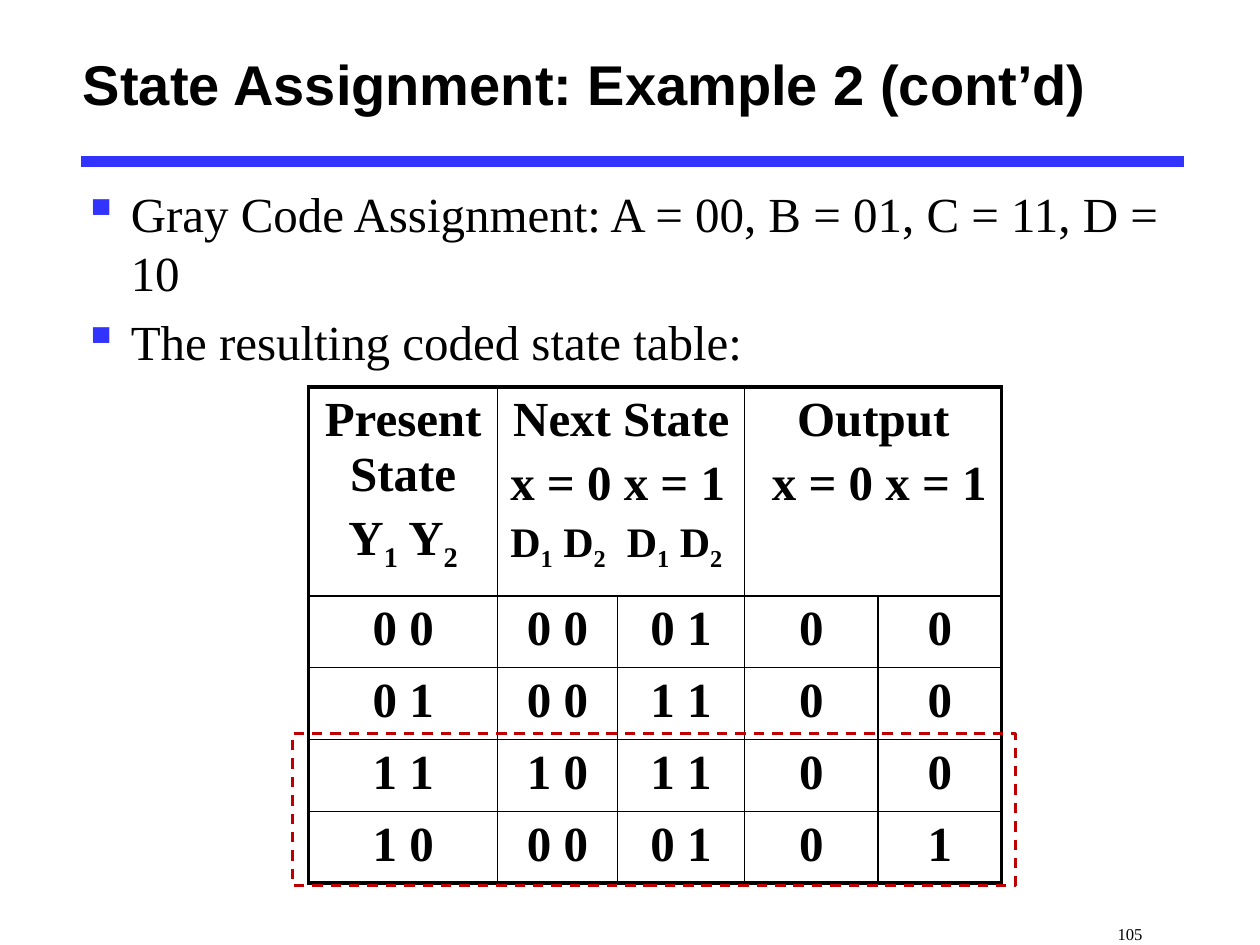
from pptx import Presentation
from pptx.dml.color import RGBColor
from pptx.enum.dml import MSO_LINE
from pptx.enum.shapes import MSO_CONNECTOR, MSO_SHAPE
from pptx.enum.text import MSO_ANCHOR, PP_ALIGN
from pptx.oxml.ns import qn
from pptx.util import Inches, Pt
from lxml import etree

LEFT, CENTER = PP_ALIGN.LEFT, PP_ALIGN.CENTER
TOP, MIDDLE, BOTTOM = MSO_ANCHOR.TOP, MSO_ANCHOR.MIDDLE, MSO_ANCHOR.BOTTOM
SERIF, SANS = "Times New Roman", "Arial"
BLACK, BLUE, RED = "000000", "3333FF", "C00000"
THIN, THICK = 1, 2.25

# Content: an underscore makes the next character a subscript
TITLE = "State Assignment: Example 2 (cont’d)"
BULLETS = [
    "Gray Code Assignment: A = 00, B = 01, C = 11, D = 10",
    "The resulting coded state table:",
]
PAGE = "105"
# Header cells: first column, columns spanned, (text, size, alignment) lines
HEADERS = [
    (0, 1, [("Present State", 28, CENTER), ("Y_1 Y_2", 28, CENTER)]),
    (1, 2, [("Next State", 28, CENTER), ("x = 0 x = 1", 28, LEFT),
            ("D_1 D_2  D_1 D_2", 24, LEFT)]),
    (3, 2, [("Output", 28, CENTER), (" x = 0 x = 1", 28, CENTER)]),
]
STATES = [
    ("0 0", "0 0", "0 1", "0", "0"),
    ("0 1", "0 0", "1 1", "0", "0"),
    ("1 1", "1 0", "1 1", "0", "0"),
    ("1 0", "0 0", "0 1", "0", "1"),
]
COLS = [1.5, 0.95, 1.01, 1.06, 0.98]
HEAD_H, ROW_H = 1.66, 0.57
TABLE_X, TABLE_Y = 2.45, 3.07


def rgb(value):
    return RGBColor.from_string(value)


def add_text(tf, text, size=28, font=SERIF, bold=False, align=LEFT, first=True, bullet=None):
    p = tf.paragraphs[0] if first else tf.add_paragraph()
    p.alignment = align
    if not first:
        p.space_before = Pt(size * 0.2)
    if bullet:
        pPr = p._p.get_or_add_pPr()
        pPr.set("marL", str(Inches(0.38)))
        pPr.set("indent", str(-Inches(0.38)))
        color = etree.SubElement(pPr, qn("a:buClr"))
        etree.SubElement(color, qn("a:srgbClr")).set("val", BLUE)
        etree.SubElement(pPr, qn("a:buChar")).set("char", bullet)
    head, *rest = text.split("_")
    pieces = [(head, False)]
    for part in rest:
        pieces += [(part[0], True), (part[1:], False)]
    for piece, subscript in pieces:
        if not piece:
            continue
        r = p.add_run()
        r.text = piece
        r.font.size, r.font.name, r.font.bold = Pt(size), font, bold
        r.font.color.rgb = rgb(BLACK)
        if subscript:
            r._r.get_or_add_rPr().set("baseline", "-25000")


def add_box(s, x, y, w, h, anchor=TOP, left=0.1, bottom=0.05):
    tf = s.shapes.add_textbox(Inches(x), Inches(y), Inches(w), Inches(h)).text_frame
    tf.word_wrap = True
    tf.vertical_anchor = anchor
    tf.margin_left, tf.margin_bottom = Inches(left), Inches(bottom)
    return tf


def style_cell(cell, row, col, span=1):
    edges = {
        "lnL": col == 0,
        "lnR": col + span == len(COLS),
        "lnT": row == 0,
        "lnB": row == len(STATES),
    }
    tcPr = cell._tc.get_or_add_tcPr()
    for tag, outer in edges.items():
        ln = etree.SubElement(tcPr, qn("a:" + tag))
        ln.set("w", str(Pt(THICK if outer else THIN)))
        fill = etree.SubElement(ln, qn("a:solidFill"))
        etree.SubElement(fill, qn("a:srgbClr")).set("val", BLACK)
    cell.fill.background()


prs = Presentation()
prs.slide_width, prs.slide_height = Inches(10), Inches(7.5)
s = prs.slides.add_slide(prs.slide_layouts[6])

# Rule under the title
rule = s.shapes.add_connector(MSO_CONNECTOR.STRAIGHT, Inches(0.64), Inches(1.28),
                              Inches(9.4), Inches(1.28))
rule.line.color.rgb = rgb(BLUE)
rule.line.width = Pt(6)
etree.SubElement(rule._element.spPr, qn("a:effectLst"))

# Title, bullets and page number
add_text(add_box(s, 0.56, 0.1, 9.05, 1.12, MIDDLE), TITLE, size=32, font=SANS, bold=True)
body = add_box(s, 0.56, 1.41, 9.16, 1.8)
for i, text in enumerate(BULLETS):
    add_text(body, text, first=i == 0, bullet="▪")
add_text(add_box(s, 7.9, 7.12, 2.1, 0.38, BOTTOM, left=0.97, bottom=0.01), PAGE, size=9.5)

# Coded state table
table_h = HEAD_H + ROW_H * len(STATES)
table = s.shapes.add_table(len(STATES) + 1, len(COLS), Inches(TABLE_X), Inches(TABLE_Y),
                           Inches(sum(COLS)), Inches(table_h)).table
table.first_row = table.horz_banding = False
for column, width in zip(table.columns, COLS):
    column.width = Inches(width)
for i, row in enumerate(table.rows):
    row.height = Inches(ROW_H if i else HEAD_H)

for col, span, lines in HEADERS:
    cell = table.cell(0, col)
    if span > 1:
        cell.merge(table.cell(0, col + span - 1))
    for i, (text, size, align) in enumerate(lines):
        add_text(cell.text_frame, text, size=size, bold=True, align=align, first=i == 0)
    style_cell(cell, 0, col, span)
    for extra in range(col + 1, col + span):
        style_cell(table.cell(0, extra), 0, extra)

for i, values in enumerate(STATES, 1):
    for j, value in enumerate(values):
        cell = table.cell(i, j)
        add_text(cell.text_frame, value, bold=True, align=CENTER)
        style_cell(cell, i, j)

# Dashed frame around the last two states
frame = s.shapes.add_shape(MSO_SHAPE.RECTANGLE, Inches(2.32), Inches(5.82),
                           Inches(5.74), Inches(1.21))
frame.shadow.inherit = False
frame.fill.background()
frame.line.color.rgb = rgb(RED)
frame.line.width = Pt(1.5)
frame.line.dash_style = MSO_LINE.DASH

prs.save("out.pptx")
